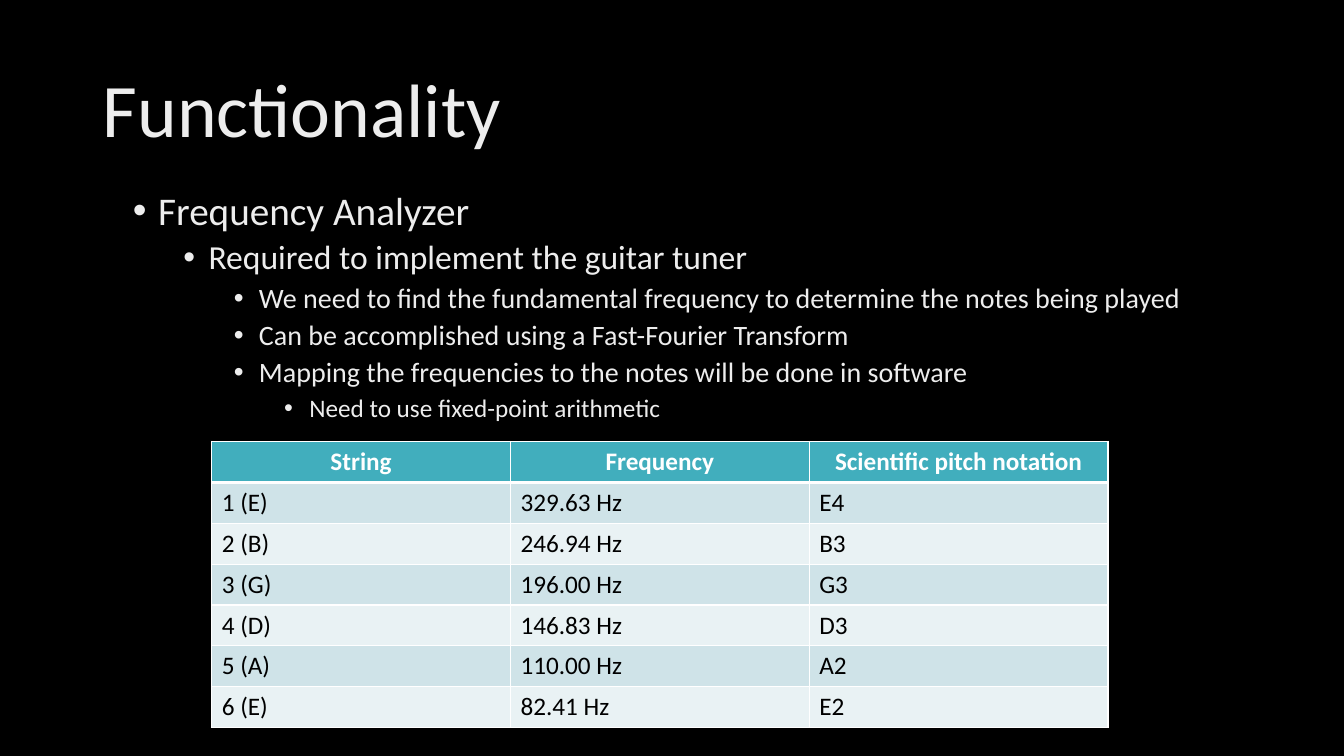
from lxml import etree
from pptx import Presentation
from pptx.dml.color import RGBColor
from pptx.enum.text import MSO_ANCHOR, PP_ALIGN
from pptx.oxml.ns import qn
from pptx.util import Inches, Pt

MIDDLE, TOP = MSO_ANCHOR.MIDDLE, MSO_ANCHOR.TOP
LEFT, CENTER = PP_ALIGN.LEFT, PP_ALIGN.CENTER

FONT = "Calibri"
COLORS = {
    "background": "000000",
    "text": "EDEDED",
    "header": "41AEBD",
    "header_text": "FFFFFF",
    "cell_text": "000000",
    "odd_row": "CFE3E8",
    "even_row": "E9F2F4",
    "border": "FFFFFF",
}
LEVEL_SIZES = [28, 24, 20, 18]
BULLETS = [
    (0, "Frequency Analyzer"),
    (1, "Required to implement the guitar tuner"),
    (2, "We need to find the fundamental frequency to determine the notes being played"),
    (2, "Can be accomplished using a Fast-Fourier Transform"),
    (2, "Mapping the frequencies to the notes will be done in software"),
    (3, "Need to use fixed-point arithmetic"),
]
TUNING = [
    ("String", "Frequency", "Scientific pitch notation"),
    ("1 (E)", "329.63 Hz", "E4"),
    ("2 (B)", "246.94 Hz", "B3"),
    ("3 (G)", "196.00 Hz", "G3"),
    ("4 (D)", "146.83 Hz", "D3"),
    ("5 (A)", "110.00 Hz", "A2"),
    ("6 (E)", "82.41 Hz", "E2"),
]


def color(name):
    return RGBColor.from_string(COLORS[name])


def write(paragraph, text, size=18, fill="text", bold=False, align=LEFT,
          line_spacing=1.0, space_before=0):
    paragraph.alignment = align
    paragraph.line_spacing = line_spacing
    paragraph.space_before = Pt(space_before)
    run = paragraph.add_run()
    run.text = text
    run.font.name = FONT
    run.font.size = Pt(size)
    run.font.bold = bold
    run.font.color.rgb = color(fill)


def add_text_frame(slide, box, anchor):
    frame = slide.shapes.add_textbox(*map(Inches, box)).text_frame
    frame.word_wrap = True
    frame.vertical_anchor = anchor
    return frame


def set_bullet(paragraph, level):
    properties = paragraph._p.get_or_add_pPr()
    properties.set("marL", str(Inches(0.25 + 0.5 * level)))
    properties.set("indent", str(Inches(-0.25)))
    font = etree.SubElement(properties, qn("a:buFont"))
    font.set("typeface", "Arial")
    etree.SubElement(properties, qn("a:buChar")).set("char", "•")


def set_borders(cell, **widths):
    properties = cell._tc.get_or_add_tcPr()
    for index, (side, width) in enumerate(widths.items()):
        line = etree.Element(qn(f"a:ln{side}"), w=str(Pt(width)))
        fill = etree.SubElement(line, qn("a:solidFill"))
        etree.SubElement(fill, qn("a:srgbClr")).set("val", COLORS["border"])
        properties.insert(index, line)


def add_title(slide, box):
    frame = add_text_frame(slide, box, MIDDLE)
    write(frame.paragraphs[0], "Functionality", size=54, line_spacing=0.9)


def add_bullets(slide, box):
    frame = add_text_frame(slide, box, TOP)
    for index, (level, text) in enumerate(BULLETS):
        paragraph = frame.add_paragraph() if index else frame.paragraphs[0]
        paragraph.level = level
        write(paragraph, text, size=LEVEL_SIZES[level], line_spacing=0.9,
              space_before=5 if level else 10)
        set_bullet(paragraph, level)


def add_tuning_table(slide, box):
    row_count, column_count = len(TUNING), len(TUNING[0])
    table = slide.shapes.add_table(
        row_count, column_count, *map(Inches, box)).table
    for row_index, values in enumerate(TUNING):
        is_header = row_index == 0
        fill = "header" if is_header else "odd_row" if row_index % 2 else "even_row"
        for column_index, text in enumerate(values):
            cell = table.cell(row_index, column_index)
            cell.vertical_anchor = MIDDLE
            cell.fill.solid()
            cell.fill.fore_color.rgb = color(fill)
            write(cell.text_frame.paragraphs[0], text, bold=is_header,
                  fill="header_text" if is_header else "cell_text",
                  align=CENTER if is_header else LEFT)
            # A thick rule separates the header from the strings
            set_borders(cell, L=1, R=1, T=3 if row_index == 1 else 1,
                        B=3 if is_header else 1)


def build_functionality_slide(presentation):
    slide = presentation.slides.add_slide(presentation.slide_layouts[6])
    slide.background.fill.solid()
    slide.background.fill.fore_color.rgb = color("background")
    add_title(slide, (0.92, 0.4, 11.5, 1.45))
    add_bullets(slide, (1.22, 1.85, 11.19, 4.76))
    add_tuning_table(slide, (2.1, 4.38, 8.89, 2.84))


def main():
    presentation = Presentation()
    presentation.slide_width = Inches(13.33)
    presentation.slide_height = Inches(7.5)
    build_functionality_slide(presentation)
    presentation.save("out.pptx")


if __name__ == "__main__":
    main()
